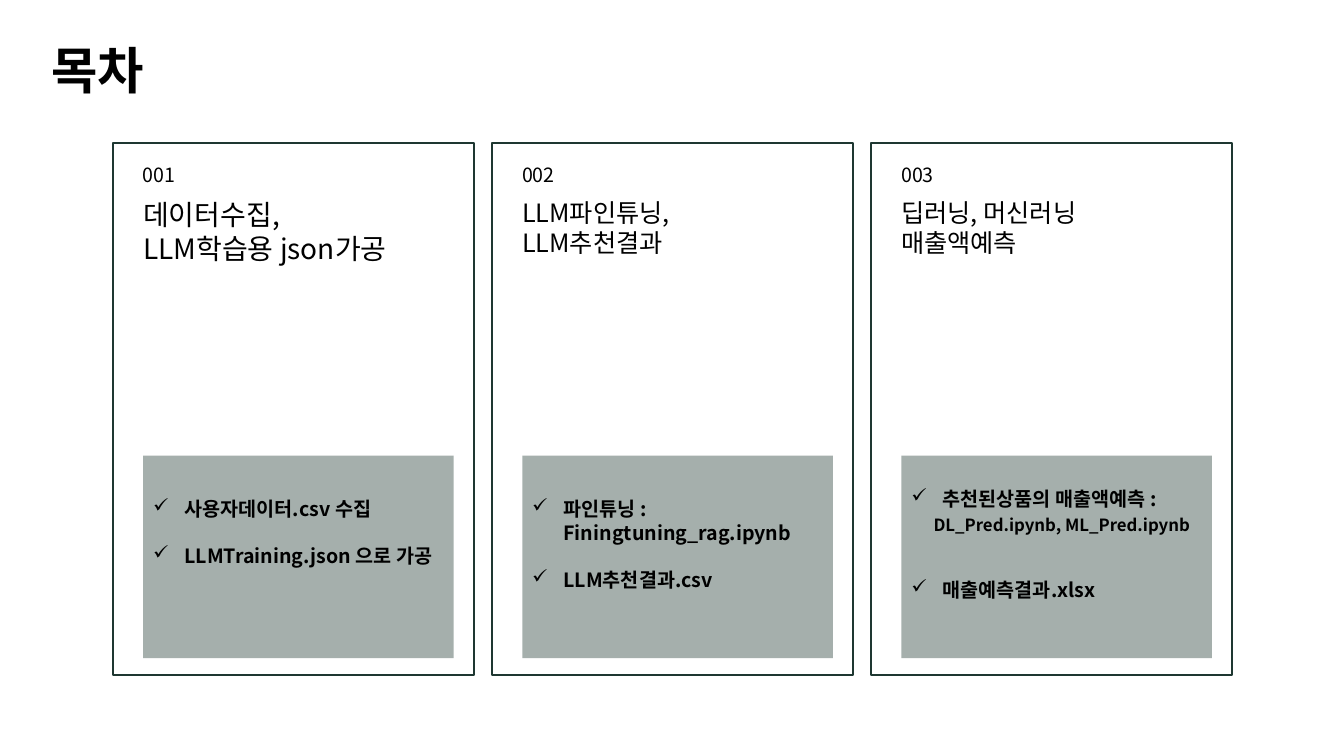
from lxml import etree
from pptx import Presentation
from pptx.dml.color import RGBColor
from pptx.enum.shapes import MSO_SHAPE
from pptx.enum.text import MSO_ANCHOR
from pptx.oxml.ns import qn
from pptx.util import Inches, Pt

RECT = MSO_SHAPE.RECTANGLE
TOP = MSO_ANCHOR.TOP
GREEN = RGBColor(0x1E, 0x37, 0x31)
BLACK = RGBColor(0, 0, 0)
FONT = "Noto Sans CJK KR"
UNIT = 0.1
STEP = 37.6
HANG = 3.1

CARDS = [
    ("001", 20, 33.8, ["데이터수집,", "LLM학습용 json가공"], 4.1,
     [("사용자데이터.csv 수집", 14, 0, True),
      ("LLMTraining.json 으로 가공", 14, 17, True)]),
    ("002", 18, 24.6, ["LLM파인튜닝,", "LLM추천결과"], 4.1,
     [("파인튜닝 : Finingtuning_rag.ipynb", 14, 0, True),
      ("LLM추천결과.csv", 14, 17, True)]),
    ("003", 18, 24.6, ["딥러닝, 머신러닝", "매출액예측"], 3.1,
     [("추천된상품의 매출액예측 :", 14, 0, True),
      ("DL_Pred.ipynb, ML_Pred.ipynb", 12, 3, False),
      ("매출예측결과.xlsx", 14, 31, True)]),
]


class Deck:
    """Draws styled elements on a grid of tenth-inch columns and rows."""

    def __init__(self):
        self.prs = Presentation()
        self.prs.slide_width = Inches(13.33)
        self.prs.slide_height = Inches(7.5)
        self.slide = self.prs.slides.add_slide(self.prs.slide_layouts[6])

    def span(self, *cells):
        return [Inches(cell * UNIT) for cell in cells]

    def put(self, para, text, size, bold=False):
        run = para.add_run()
        run.text = text
        font = run.font
        font.name, font.size, font.bold = FONT, Pt(size), bold
        font.color.rgb = BLACK
        east = etree.Element(qn("a:ea"), typeface=FONT)
        font._element.find(qn("a:latin")).addnext(east)

    def paras(self, frame, count):
        return [frame.paragraphs[0]] + [frame.add_paragraph() for _ in range(count - 1)]

    def text(self, area, lines, size, bold=False):
        frame = self.slide.shapes.add_textbox(*self.span(*area)).text_frame
        frame.word_wrap = True
        for para, line in zip(self.paras(frame, len(lines)), lines):
            self.put(para, line, size, bold)

    def box(self, area):
        shape = self.slide.shapes.add_shape(RECT, *self.span(*area))
        shape.shadow.inherit = False
        return shape

    def frame(self, area):
        shape = self.box(area)
        shape.fill.background()
        shape.line.color.rgb = GREEN
        shape.line.width = Pt(1.25)

    def panel(self, area, inset, items):
        shape = self.box(area)
        shape.fill.solid()
        shape.fill.fore_color.rgb = GREEN
        color = shape._element.spPr.find(qn("a:solidFill"))[0]
        etree.SubElement(color, qn("a:alpha"), val="40000")
        shape.line.fill.background()
        frame = shape.text_frame
        frame.word_wrap = True
        frame.vertical_anchor = TOP
        frame.margin_top = Inches(inset * UNIT)
        for para, item in zip(self.paras(frame, len(items)), items):
            self.point(para, *item)

    def point(self, para, text, size, gap, mark):
        props = para._p.get_or_add_pPr()
        props.set("algn", "l")
        left, = self.span(HANG if mark else 2.2)
        props.set("marL", str(left))
        props.set("indent", str(-left if mark else 0))
        if mark:
            etree.SubElement(props, qn("a:buChar"), char="✓")
        else:
            etree.SubElement(props, qn("a:buNone"))
        if gap:
            para.space_before = Pt(gap)
        self.put(para, text, size, True)

    def card(self, left, label, size, width, head, inset, items):
        self.frame((left, 14.2, 35.8, 52.8))
        self.text((left + 2, 15.7, 9.3, 3.4), [label], 14)
        self.text((left + 2, 19.1, width, 7.1), head, size)
        self.panel((left + 3, 45.2, 30.8, 20.1), inset, items)


def main():
    deck = Deck()
    for col, card in enumerate(CARDS):
        deck.card(11.2 + col * STEP, *card)
    deck.text((4.1, 3.4, 17, 7.1), ["목차"], 36, True)
    deck.prs.save("out.pptx")


if __name__ == "__main__":
    main()
